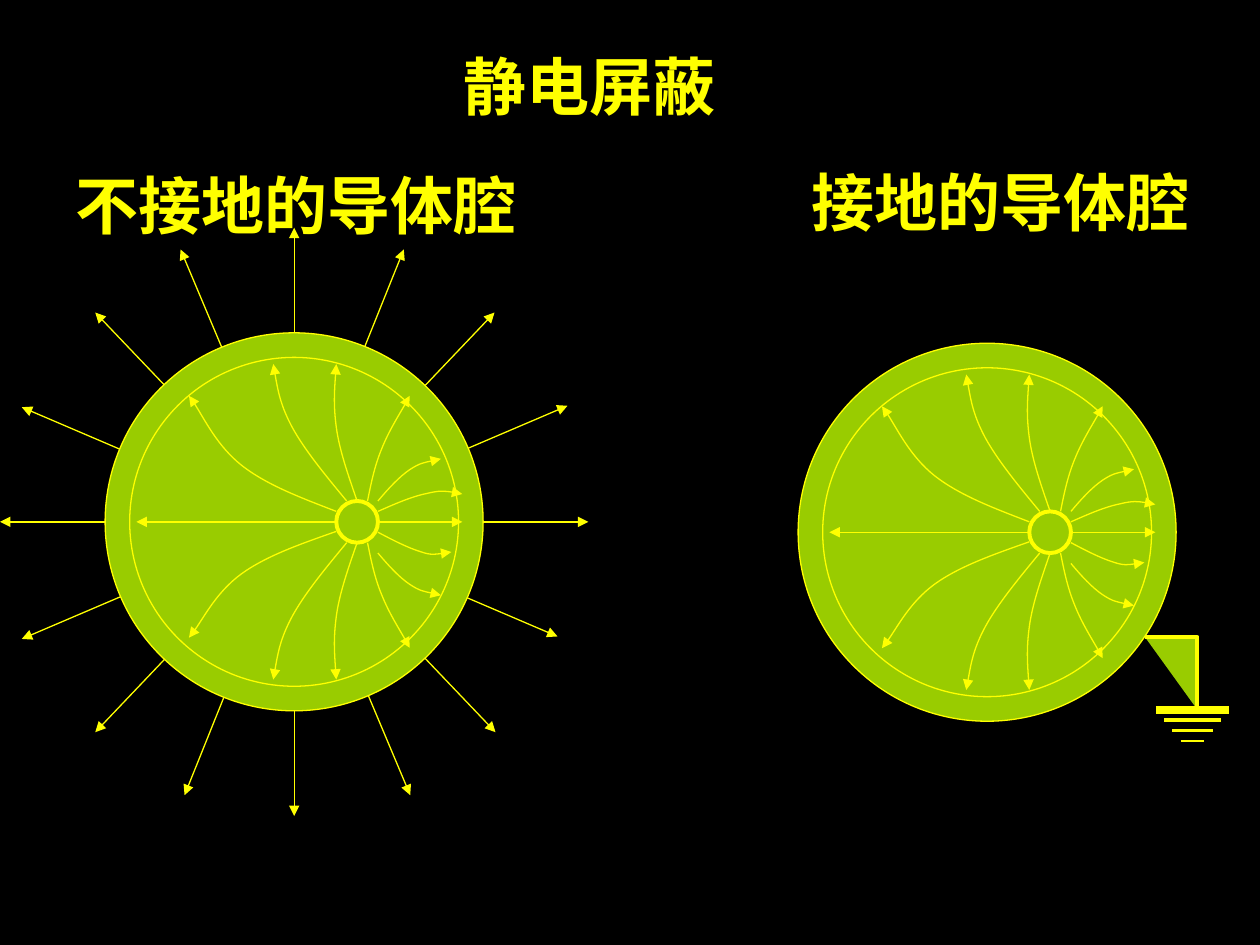
from lxml import etree
from pptx import Presentation, util as u
from pptx.dml.color import RGBColor
from pptx.enum import shapes, text
from pptx.oxml.ns import qn

YELLOW, GREEN, BLACK = "FFFF00", "99CC00", "000000"
FONT = "Roboto Slab"
DISC, CAVITY, CHARGE = 7.62, 6.63, 0.84  # diameters in cm
CHARGE_OFFSET = 1.27

# Ends of the outer field lines, in cm from the centre of the disc.
OUTER_LINES = [
    ((0, -5.93), (0, 5.93)),
    ((4.04, -4.22), (-4.01, 4.24)),
    ((-4.01, -4.22), (4.06, 4.24)),
    ((5.51, -2.34), (-5.49, 2.36)),
    ((-5.49, -2.31), (5.31, 2.31)),
    ((2.21, -5.49), (-2.21, 5.51)),
    ((-2.29, -5.49), (2.34, 5.51)),
]

# Two Bezier segments each, in cm from the charge; the second and third
# values give the height factor and the shift of the lower twin.
MIRRORED_CURVES = [
    ([(-.42, -.21), (-1.12, -.48), (-1.82, -.74), (-2.33, -1.14),
      (-2.82, -1.53), (-3.2, -2.31), (-3.39, -2.54)], -0.92, 0),
    ([(-.21, -.42), (-.64, -.94), (-1.06, -1.45), (-1.31, -1.91),
      (-1.55, -2.36), (-1.62, -2.77), (-1.69, -3.18)], -1, 0),
    ([(0, -.42), (-.18, -.94), (-.36, -1.45), (-.42, -1.91),
      (-.48, -2.36), (-.45, -2.77), (-.42, -3.18)], -1, 0),
    ([(.21, -.42), (.28, -.77), (.35, -1.12), (.5, -1.48),
      (.64, -1.83), (.97, -2.36), (1.06, -2.54)], -1, 0),
    ([(.42, -.42), (.63, -.67), (.85, -.91), (1.06, -1.05),
      (1.27, -1.19), (1.48, -1.22), (1.69, -1.27)], -1, 0.21),
]
SINGLE_CURVES = [
    [(.42, -.21), (.76, -.36), (1.1, -.51), (1.4, -.57),
     (1.68, -.64), (1.91, -.61), (2.12, -.56)],
    [(.42, .21), (.74, .38), (1.04, .53), (1.27, .6),
     (1.5, .68), (1.71, .64), (1.9, .61)],
]


def paint(fill, color):
    fill.solid()
    fill.fore_color.rgb = RGBColor.from_string(color)


def style_line(line, weight, arrows=()):
    """Colour a line and add the named ends (headEnd, tailEnd)."""
    paint(line.fill, YELLOW)
    line.width = u.Pt(weight)
    for end in arrows:
        etree.SubElement(line._get_or_add_ln(), qn(f"a:{end}"), type="triangle")


def style_shape(shape, weight, arrows=()):
    shape.shadow.inherit = False
    paint(shape.fill, GREEN)
    style_line(shape.line, weight, arrows)


def add_line(page, origin, start, end, weight=0.75, arrows=()):
    x, y = origin
    line = page.shapes.add_connector(
        shapes.MSO_CONNECTOR.STRAIGHT,
        u.Cm(x + start[0]), u.Cm(y + start[1]), u.Cm(x + end[0]), u.Cm(y + end[1]))
    style_line(line.line, weight, arrows)
    etree.SubElement(line._element.spPr, qn("a:effectLst"))


def add_circle(page, center, diameter, weight=0.75):
    left, top = (u.Cm(value - diameter / 2) for value in center)
    circle = page.shapes.add_shape(
        shapes.MSO_SHAPE.OVAL, left, top, u.Cm(diameter), u.Cm(diameter))
    style_shape(circle, weight)


def add_outline(page, origin, points):
    """Add an open freeform through points given in cm from origin."""
    spots = [(u.Cm(origin[0] + x), u.Cm(origin[1] + y)) for x, y in points]
    builder = page.shapes.build_freeform(*spots[0], scale=1.0)
    builder.add_line_segments(spots[1:], close=False)
    return builder.convert_to_shape()


def add_curve(page, origin, points):
    curve = add_outline(page, origin, points)
    outline = curve._element.find(".//" + qn("a:path"))
    steps = outline.findall(qn("a:lnTo"))
    for first in range(0, len(steps), 3):
        bezier = etree.SubElement(outline, qn("a:cubicBezTo"))
        for step in steps[first:first + 3]:
            bezier.append(step[0])
            outline.remove(step)
    style_shape(curve, 0.75, ["tailEnd"])


def add_conductor(page, center):
    """Draw the hollow conductor with the charge and its inner field."""
    add_circle(page, center, DISC)
    add_circle(page, center, CAVITY)
    charge = (center[0] + CHARGE_OFFSET, center[1])
    add_circle(page, charge, CHARGE, 2.25)
    for start, end in ((0.42, 2.12), (-0.42, -4.45)):
        add_line(page, charge, (start, 0), (end, 0), arrows=["tailEnd"])
    for points, factor, shift in MIRRORED_CURVES:
        add_curve(page, charge, points)
        add_curve(page, charge, [(x, y * factor + shift) for x, y in points])
    for points in SINGLE_CURVES:
        add_curve(page, charge, points)


def add_isolated_conductor(page, center):
    for start, end in OUTER_LINES:
        add_line(page, center, start, end, arrows=["headEnd", "tailEnd"])
    add_conductor(page, center)
    for side in (1, -1):
        add_line(page, center, (side * DISC / 2, 0), (side * 5.93, 0),
                 arrows=["tailEnd"])


def add_grounded_conductor(page, center):
    add_conductor(page, center)
    wire = add_outline(page, center, [(3.18, 2.11), (4.24, 2.11), (4.24, 3.58)])
    style_shape(wire, 2.25)
    bars = [(0.74, 4.5), (0.57, 2.25), (0.41, 1.5), (0.24, 0.75)]
    for row, (half, weight) in enumerate(bars):
        height = 3.58 + row * 0.21
        add_line(page, center, (4.14 - half, height), (4.14 + half, height), weight)


def set_heading(box, words, left, top, width, wrap):
    box.left, box.top, box.width, box.height = map(u.Cm, (left, top, width, 1.78))
    frame = box.text_frame
    frame.text = words
    frame.word_wrap = wrap
    frame.auto_size = text.MSO_AUTO_SIZE.NONE
    frame.vertical_anchor = text.MSO_ANCHOR.TOP
    para = frame.paragraphs[0]
    para.alignment = text.PP_ALIGN.LEFT
    para.line_spacing = 1.0
    font = para.runs[0].font
    font.name, font.size, font.bold = FONT, u.Pt(36), True
    font.color.rgb = RGBColor.from_string(YELLOW)


def main():
    deck = Presentation()
    deck.slide_width, deck.slide_height = u.Cm(25.4), u.Cm(19.05)
    page = deck.slides.add_slide(deck.slide_layouts[5])
    paint(page.background.fill, BLACK)
    add_isolated_conductor(page, (5.93, 10.52))
    add_grounded_conductor(page, (19.9, 10.73))
    for words, left, top, width in (("不接地的导体腔", 1.27, 3.23, 9.4),
                                    ("接地的导体腔", 16.1, 3.18, 8.13)):
        box = page.shapes.add_textbox(0, 0, 0, 0)
        set_heading(box, words, left, top, width, False)
    set_heading(page.shapes.title, "静电屏蔽", 9.09, 0.84, 5.89, True)
    deck.save("out.pptx")


if __name__ == "__main__":
    main()
